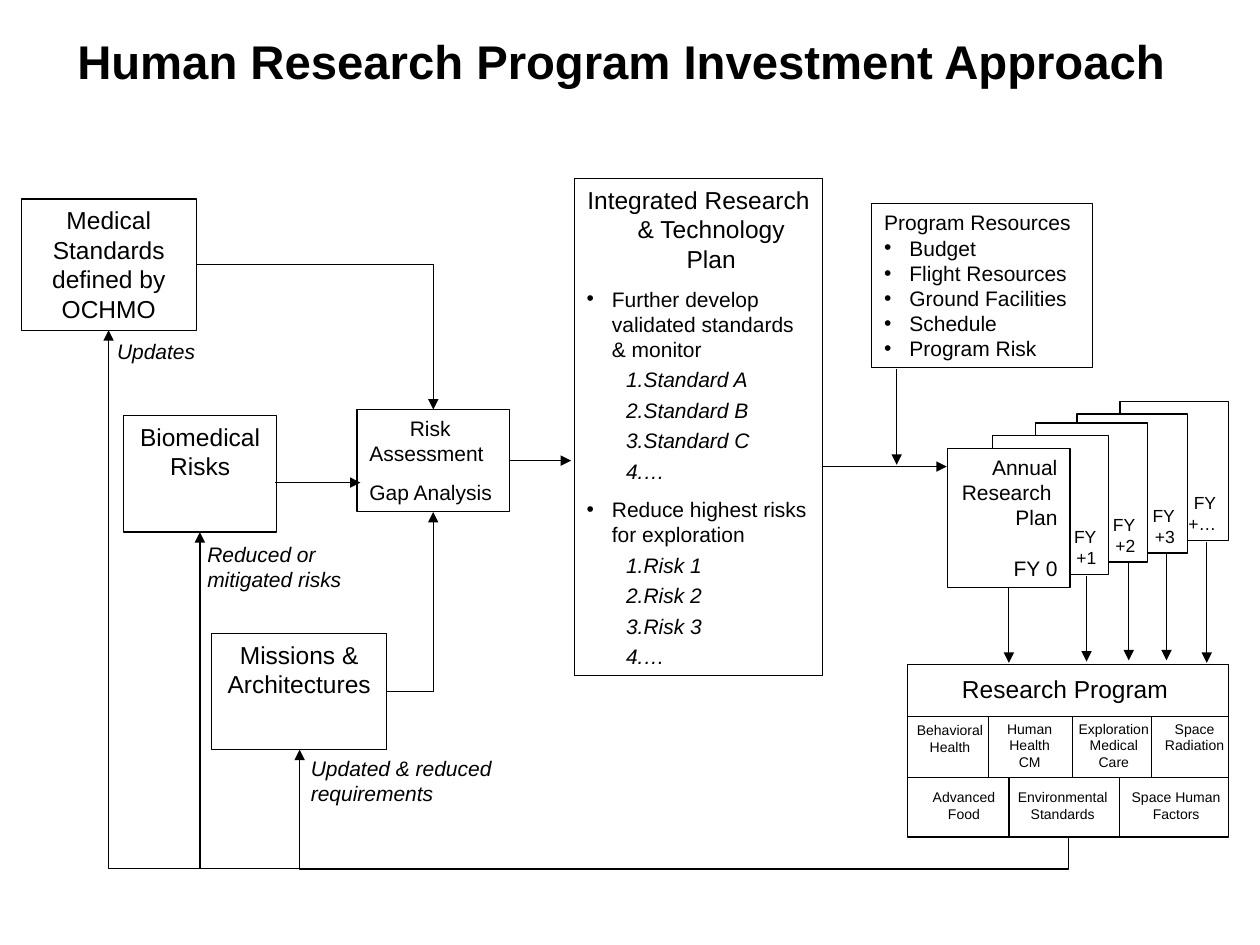
from dataclasses import dataclass

from lxml import etree
from pptx import Presentation
from pptx.dml.color import RGBColor
from pptx.enum.shapes import MSO_CONNECTOR, MSO_SHAPE
from pptx.enum.text import MSO_ANCHOR, PP_ALIGN
from pptx.oxml.ns import qn
from pptx.util import Pt

LEFT, CENTER, RIGHT = PP_ALIGN.LEFT, PP_ALIGN.CENTER, PP_ALIGN.RIGHT
TOP, MIDDLE, BOTTOM = MSO_ANCHOR.TOP, MSO_ANCHOR.MIDDLE, MSO_ANCHOR.BOTTOM
STRAIGHT, ELBOW = MSO_CONNECTOR.STRAIGHT, MSO_CONNECTOR.ELBOW
RECTANGLE = MSO_SHAPE.RECTANGLE
FONT, BLACK, WHITE = "Arial", "000000", "FFFFFF"
LINE_WIDTH = 0.75


@dataclass
class Line:
    """One paragraph; marker is a bullet character or "1." for numbering."""
    text: str
    size: float = 12
    align: PP_ALIGN = LEFT
    before: float = 0
    italic: bool = False
    bold: bool = False
    marker: str = ""
    margin: float = 0
    hanging: float = 0
    level: int = 0


@dataclass
class Box:
    left: float
    top: float
    width: float
    height: float
    lines: list[Line]
    framed: bool = True
    anchor: MSO_ANCHOR = TOP


def color(value: str) -> RGBColor:
    return RGBColor.from_string(value)


def one(text: str, **formatting) -> list[Line]:
    return [Line(text, **formatting)]


def write_line(paragraph, line: Line) -> None:
    properties = paragraph._p.get_or_add_pPr()
    if line.margin:
        properties.set("marL", str(Pt(line.margin)))
        properties.set("indent", str(-Pt(line.hanging)))
    if line.marker == "1.":
        etree.SubElement(properties, qn("a:buAutoNum"), type="arabicPeriod")
    elif line.marker:
        etree.SubElement(properties, qn("a:buFont"), typeface=FONT)
        etree.SubElement(properties, qn("a:buChar"), char=line.marker)
    paragraph.level = line.level
    paragraph.alignment = line.align
    paragraph.space_before = Pt(line.before)
    run = paragraph.add_run()
    run.text = line.text
    run.font.name, run.font.size = FONT, Pt(line.size)
    run.font.bold, run.font.italic = line.bold, line.italic
    run.font.color.rgb = color(BLACK)


def draw_box(slide, box: Box) -> None:
    bounds = [Pt(value) for value in (box.left, box.top, box.width, box.height)]
    if box.framed:
        shape = slide.shapes.add_shape(RECTANGLE, *bounds)
        shape.shadow.inherit = False
        shape.fill.solid()
        shape.fill.fore_color.rgb = color(WHITE)
        shape.line.color.rgb = color(BLACK)
        shape.line.width = Pt(LINE_WIDTH)
    else:
        shape = slide.shapes.add_textbox(*bounds)
    frame = shape.text_frame
    frame.word_wrap = True
    frame.vertical_anchor = box.anchor
    for index, line in enumerate(box.lines):
        paragraph = frame.add_paragraph() if index else frame.paragraphs[0]
        write_line(paragraph, line)


def draw_line(slide, x1: float, y1: float, x2: float, y2: float,
              arrow: bool = True, kind: MSO_CONNECTOR = STRAIGHT):
    connector = slide.shapes.add_connector(kind, Pt(x1), Pt(y1), Pt(x2), Pt(y2))
    connector.line.color.rgb = color(BLACK)
    connector.line.width = Pt(LINE_WIDTH)
    if arrow:
        etree.SubElement(connector.line._get_or_add_ln(), qn("a:tailEnd"), type="triangle")
    etree.SubElement(connector._element.spPr, qn("a:effectLst"))
    return connector


def draw_corner(slide, x1: float, y1: float, x2: float, y2: float) -> None:
    """Arrow that runs across, then up or down."""
    connector = draw_line(slide, x1, y1, x2, y2, kind=ELBOW)
    connector._element.spPr.find(qn("a:prstGeom")).set("prst", "bentConnector2")


def draw_feedback(slide, x1: float, y1: float, x2: float, y2: float, drop: float) -> None:
    """Arrow that drops below its start, runs left and rises: a turned elbow."""
    rise, run = y1 - y2, x1 - x2
    middle_x, middle_y = (x1 + x2) / 2, (y1 + y2) / 2
    connector = draw_line(slide, middle_x - rise / 2, middle_y + run / 2,
                          middle_x + rise / 2, middle_y - run / 2, kind=ELBOW)
    connector.rotation = 270 if hasattr(connector, "rotation") else None
    properties = connector._element.spPr
    properties.find(qn("a:xfrm")).set("rot", str(270 * 60000))
    geometry = properties.find(qn("a:prstGeom"))
    adjustments = geometry.find(qn("a:avLst"))
    if adjustments is None:
        adjustments = etree.SubElement(geometry, qn("a:avLst"))
    etree.SubElement(adjustments, qn("a:gd"), name="adj1",
                     fmla=f"val {round(-drop / rise * 100000)}")


def bullet(text: str, before: float = 0) -> Line:
    return Line(text, before=before, marker="•", margin=14.4, hanging=14.4)


def numbered(*texts: str) -> list[Line]:
    return [Line(text, before=3, italic=True, marker="1.", margin=31.5, hanging=9, level=1)
            for text in texts]


TITLE = Box(0, 3.6, 710, 62.6, one("Human Research Program Investment Approach", size=27,
                                   align=CENTER, bold=True), False, MIDDLE)
INPUTS = [
    Box(12.2, 113.8, 100, 75, one("Medical Standards defined by OCHMO", size=14, align=CENTER)),
    Box(70.6, 237.6, 87.6, 66.4, one("Biomedical Risks", size=14, align=CENTER)),
    Box(121, 362, 100, 66.4, one("Missions & Architectures", size=14, align=CENTER)),
]
YEAR_CARDS = [  # left, top, width, year
    (640, 229.4, 62, "+…"), (615.4, 236.6, 63, "+3"),
    (591.6, 241.7, 64.2, "+2"), (567.2, 249, 66.4, "+1"),
]
ANNUAL_PLAN = Box(541.4, 256.2, 70, 79.4, [
    Line("Annual Research ", align=RIGHT), Line("Plan", align=RIGHT),
    Line("FY 0", align=RIGHT, before=14.4)])
ASSESSMENT = Box(204, 234, 87, 58.4, [
    Line("Risk ", align=CENTER), Line("Assessment"), Line("Gap Analysis", before=7.5)])
INTEGRATED_PLAN = Box(328.2, 102, 142, 284, [
    Line("Integrated Research & Technology Plan", 14, CENTER, margin=14.4, hanging=14.4),
    bullet("Further develop validated standards & monitor", 7.5),
    *numbered("Standard A", "Standard B", "Standard C", "…"),
    bullet("Reduce highest risks for exploration", 7.5),
    *numbered("Risk 1", "Risk 2", "Risk 3", "…")])
RESOURCES = Box(498.2, 116.4, 126, 93.6, [
    Line("Program Resources", margin=14.4, hanging=14.4),
    *map(bullet, ("Budget", "Flight Resources", "Ground Facilities", "Schedule",
                  "Program Risk"))])
PROGRAM = Box(518.4, 379.6, 183.6, 98.8, [])
PROGRAM_TITLE = Box(542.6, 381.6, 140, 24.5, one("Research Program", size=14), False)
AREAS = [  # left, top, width, text
    (515.4, 409, 55, "Behavioral Health"), (565, 408, 46.8, "Human Health CM"),
    (609, 408, 55, "Exploration Medical Care"), (655.2, 408, 55, "Space Radiation"),
    (523.4, 447, 55, "Advanced Food"), (573.8, 447, 67, "Environmental Standards"),
    (635.6, 447, 73, "Space Human Factors"),
]
ROW_TOPS = (409.4, 444.4, 478.4)
DIVIDERS = ((565, 613, 658.2), (576.6, 639.6))
NOTES = [
    Box(59.8, 190, 78, 21.6, one("Updates", italic=True), False),
    Box(111.4, 305.8, 98.6, 36, one("Reduced or mitigated risks", italic=True), False),
    Box(170.6, 428, 139.7, 36, one("Updated & reduced requirements", italic=True), False),
]
ARROWS = [
    (470.4, 266.6, 541, 266.6), (157.2, 275.8, 206, 275.8), (291, 263.2, 326.4, 263.2),
    (512.4, 211, 512.4, 265.6), (576.5, 336, 576.5, 378.8), (620.9, 329, 620.9, 378),
    (645, 321.4, 645, 377.4), (666.6, 316.8, 666.6, 377.4), (689.6, 309.6, 689.6, 378.8),
]
CORNERS = [(112.2, 151.2, 247.6, 234), (221, 395.2, 247.6, 292.6)]
FEEDBACK_START, FEEDBACK_DROP = (610.6, 478.6), 18
FEEDBACK_ENDS = [(171.2, 428.4), (114.2, 304.2), (62, 188.8)]


def main() -> None:
    presentation = Presentation()
    presentation.slide_width, presentation.slide_height = Pt(720), Pt(540)
    slide = presentation.slides.add_slide(presentation.slide_layouts[6])

    # Title, inputs and the stack of yearly plans
    for box in [TITLE, *INPUTS]:
        draw_box(slide, box)
    for left, top, width, year in YEAR_CARDS:
        lines = [Line(text, 10, RIGHT) for text in ("FY", year)]
        draw_box(slide, Box(left, top, width, 79.4, lines, anchor=BOTTOM))
    for box in (ANNUAL_PLAN, ASSESSMENT, INTEGRATED_PLAN, RESOURCES, PROGRAM, PROGRAM_TITLE):
        draw_box(slide, box)

    # Research program grid
    for left, top, width, text in AREAS:
        draw_box(slide, Box(left, top, width, 26.6, one(text, size=8, align=CENTER), False))
    for columns, top, bottom in zip(DIVIDERS, ROW_TOPS, ROW_TOPS[1:]):
        draw_line(slide, PROGRAM.left, top, PROGRAM.left + PROGRAM.width, top, arrow=False)
        for x in columns:
            draw_line(slide, x, top, x, bottom, arrow=False)

    # Flow arrows, feedback loops and their notes
    for arrow in ARROWS:
        draw_line(slide, *arrow)
    for corner in CORNERS:
        draw_corner(slide, *corner)
    for end in FEEDBACK_ENDS:
        draw_feedback(slide, *FEEDBACK_START, *end, FEEDBACK_DROP)
    for note in NOTES:
        draw_box(slide, note)

    presentation.save("out.pptx")


if __name__ == "__main__":
    main()
